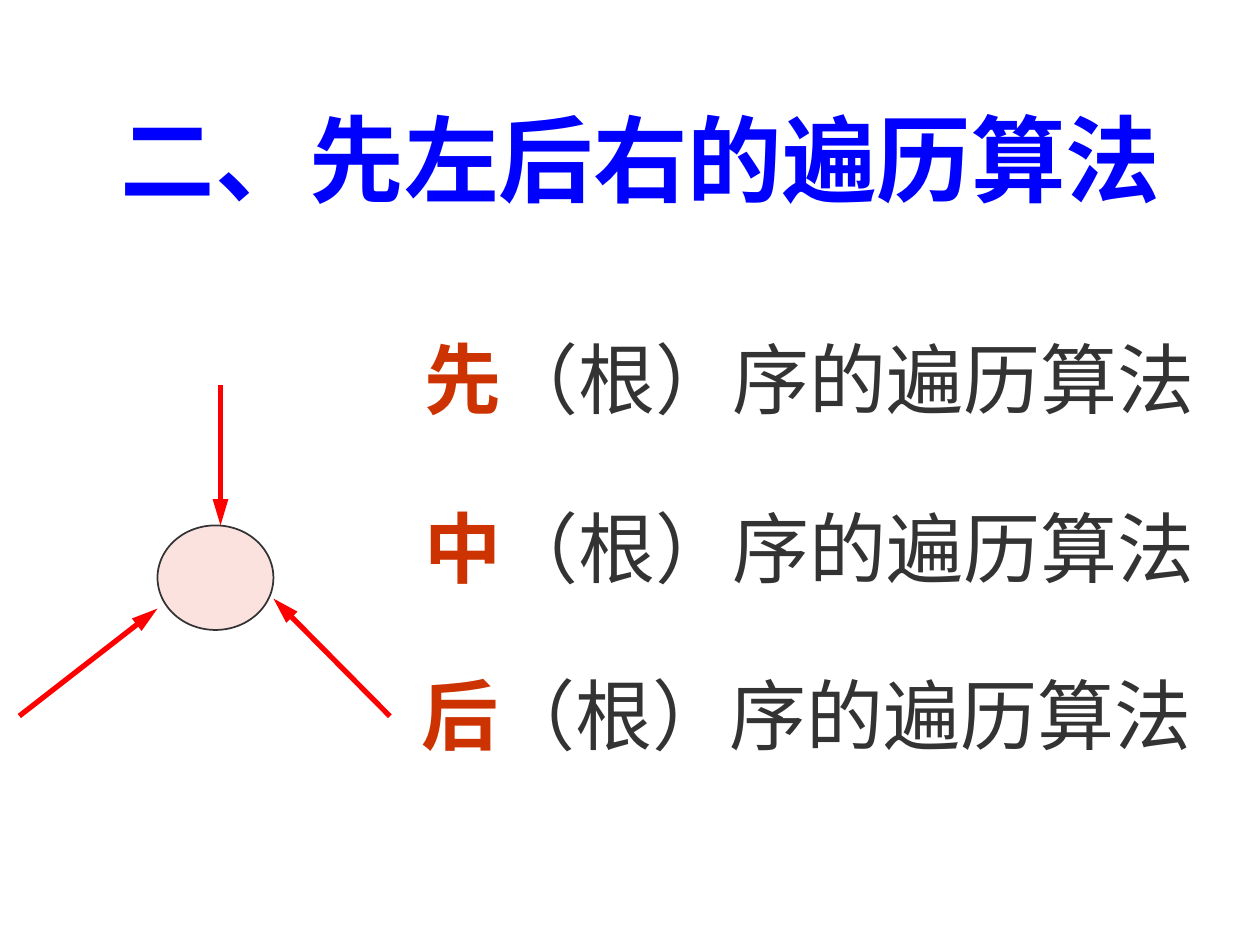
from lxml import etree
from pptx import Presentation
from pptx.dml.color import RGBColor
from pptx.enum.shapes import MSO_CONNECTOR, MSO_SHAPE
from pptx.enum.text import MSO_AUTO_SIZE
from pptx.oxml.ns import qn
from pptx.util import Inches, Pt

STRAIGHT = MSO_CONNECTOR.STRAIGHT
OVAL = MSO_SHAPE.OVAL
GROW = MSO_AUTO_SIZE.SHAPE_TO_FIT_TEXT

BLUE = RGBColor(0x00, 0x00, 0xFF)
RUST = RGBColor(0xCC, 0x33, 0x00)
DARK = RGBColor(0x33, 0x33, 0x33)
PINK = RGBColor(0xFB, 0xE2, 0xDF)
RED = RGBColor(0xFF, 0x00, 0x00)
FONT = "Times New Roman"


def add_text(page, left, top, width, height, size, spans):
    box = page.shapes.add_textbox(
        Inches(left), Inches(top), Inches(width), Inches(height)
    )
    box.text_frame.word_wrap = False
    box.text_frame.auto_size = GROW
    para = box.text_frame.paragraphs[0]
    for text, color, bold in spans:
        span = para.add_run()
        span.text = text
        span.font.name = FONT
        span.font.size = Pt(size)
        span.font.bold = bold
        span.font.color.rgb = color


def add_node(page, left, top, width, height):
    node = page.shapes.add_shape(
        OVAL, Inches(left), Inches(top), Inches(width), Inches(height)
    )
    node.shadow.inherit = False
    node.fill.solid()
    node.fill.fore_color.rgb = PINK
    node.line.color.rgb = DARK
    node.line.width = Pt(1)


def add_arrow(page, start, end):
    arrow = page.shapes.add_connector(
        STRAIGHT, *(Inches(value) for value in start + end)
    )
    arrow.line.color.rgb = RED
    arrow.line.width = Pt(3)
    outline = arrow.line._get_or_add_ln()
    outline.set("cap", "sq")
    etree.SubElement(outline, qn("a:tailEnd"), type="triangle", w="med", len="lg")
    etree.SubElement(arrow._element.spPr, qn("a:effectLst"))


def main():
    deck = Presentation()
    deck.slide_width = Inches(10)
    deck.slide_height = Inches(7.5)
    page = deck.slides.add_slide(deck.slide_layouts[6])

    add_text(page, 0.86, 0.75, 8.46, 1, 54, [("二、先左后右的遍历算法", BLUE, True)])
    for order, left, top in (("先", 3.27, 2.58), ("中", 3.27, 3.92), ("后", 3.25, 5.25)):
        spans = [(order, RUST, True), ("（根）序的遍历算法", DARK, False)]
        add_text(page, left, top, 6.33, 0.84, 44, spans)

    add_node(page, 1.25, 4.17, 0.92, 0.83)
    for start, end in (
        ((1.75, 3.08), (1.75, 4.17)),
        ((0.17, 5.67), (1.25, 4.83)),
        ((3.08, 5.67), (2.17, 4.75)),
    ):
        add_arrow(page, start, end)

    deck.save("out.pptx")


if __name__ == "__main__":
    main()
